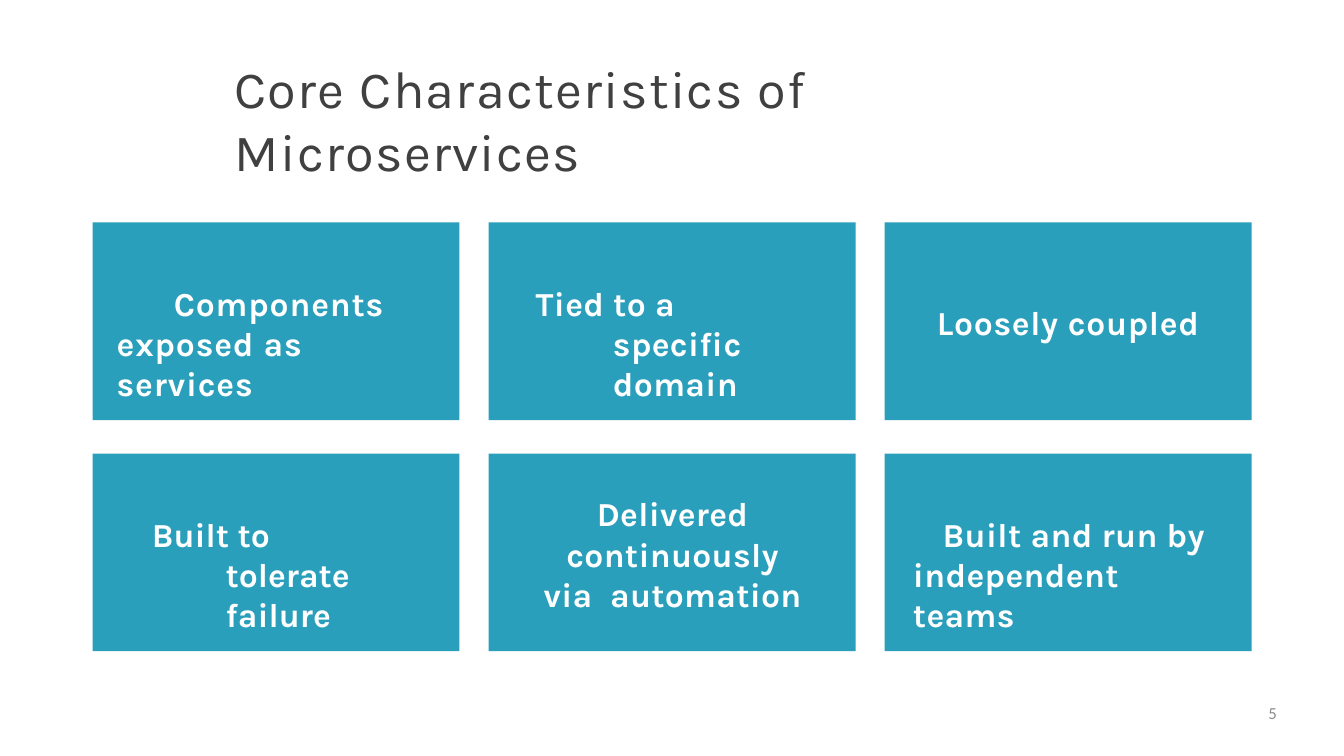
from pptx import Presentation
from pptx.dml.color import RGBColor
from pptx.enum.shapes import MSO_SHAPE
from pptx.enum.text import MSO_ANCHOR, MSO_AUTO_SIZE, PP_ALIGN
from pptx.util import Cm, Pt

RECT = MSO_SHAPE.RECTANGLE
TOP = MSO_ANCHOR.TOP
NO_FIT = MSO_AUTO_SIZE.NONE
LEFT, CENTER, RIGHT = PP_ALIGN.LEFT, PP_ALIGN.CENTER, PP_ALIGN.RIGHT

COLORS = {"title": "404040", "card": "2A9FBB", "card_text": "FFFFFF", "number": "8C8C8C"}
TITLE_ONLY = 5
COLUMNS = 3

# text, alignment, top and right inset, left margin, first-line indent (cm), tracking (pt)
CARDS = [
    ("Components exposed as services", LEFT, 2.27, 2.3, 0.91, 2.16, 0.9),
    ("Tied to a specific domain", LEFT, 2.27, 2.3, 4.7, -2.92, 0.4),
    ("Loosely coupled", CENTER, 3.02, 0, 0, 0, 0.75),
    ("Built to tolerate failure", LEFT, 2.27, 3.05, 5.03, -2.79, 0),
    ("Delivered continuously via  automation", CENTER, 1.5, 1.93, 1.98, 0, 0.35),
    ("Built and run by independent teams", LEFT, 2.27, 1.37, 1.07, 1.12, 0.4),
]


def write(shape, text, font, size, color, align=LEFT, bold=False, tracking=0,
          insets=(0, 0, 0, 0), margin=0, indent=0):
    """Fill a shape with one top-anchored paragraph; lengths in cm."""
    tf = shape.text_frame
    tf.word_wrap = True
    tf.auto_size = NO_FIT
    tf.vertical_anchor = TOP
    tf.margin_left, tf.margin_top, tf.margin_right, tf.margin_bottom = map(Cm, insets)
    p = tf.paragraphs[0]
    p.alignment = align
    p.font.name = font
    p.font.size = Pt(size)
    p.font.bold = bold
    p.font.color.rgb = RGBColor.from_string(COLORS[color])
    pPr = p._p.get_or_add_pPr()
    pPr.set("marL", str(Cm(margin)))
    pPr.set("indent", str(Cm(indent)))
    r = p.add_run()
    r.text = text
    r._r.get_or_add_rPr().set("spc", str(round(tracking * 100)))


def add_title(slide, left, top, width, height):
    title = slide.shapes.title
    title.left, title.top, title.width, title.height = map(Cm, (left, top, width, height))
    write(title, "Core Characteristics of Microservices", "Karla", 56, "title",
          tracking=1.4, insets=(0, 0.06, 0, 0), margin=0.03)


def add_cards(slide, left, top, width, height, gap_x=1.1, gap_y=1.27):
    rows = len(CARDS) // COLUMNS
    card_w = (width - (COLUMNS - 1) * gap_x) / COLUMNS
    card_h = (height - (rows - 1) * gap_y) / rows
    for i, (text, align, inset_top, inset_right, margin, indent, tracking) in enumerate(CARDS):
        row, col = divmod(i, COLUMNS)
        sp = slide.shapes.add_shape(
            RECT, Cm(left + col * (card_w + gap_x)), Cm(top + row * (card_h + gap_y)),
            Cm(card_w), Cm(card_h))
        sp.shadow.inherit = False
        sp.fill.solid()
        sp.fill.fore_color.rgb = RGBColor.from_string(COLORS["card"])
        sp.line.fill.background()
        write(sp, text, "Karla", 36, "card_text", align, True, tracking,
              (0, inset_top, inset_right, 0), margin, indent)


def add_page_number(slide, left, top, width, height):
    sp = slide.shapes.add_textbox(Cm(left), Cm(top), Cm(width), Cm(height))
    write(sp, "5", "Calibri", 18, "number", RIGHT)


def main():
    prs = Presentation()
    prs.slide_width, prs.slide_height = Cm(50.8), Cm(28.58)
    slide = prs.slides.add_slide(prs.slide_layouts[TITLE_ONLY])
    add_title(slide, 8.84, 2.08, 33.15, 4.9)
    add_cards(slide, 3.5, 8.41, 43.81, 16.21)
    add_page_number(slide, 36.58, 26.57, 11.68, 1.42)
    prs.save("out.pptx")


if __name__ == "__main__":
    main()
